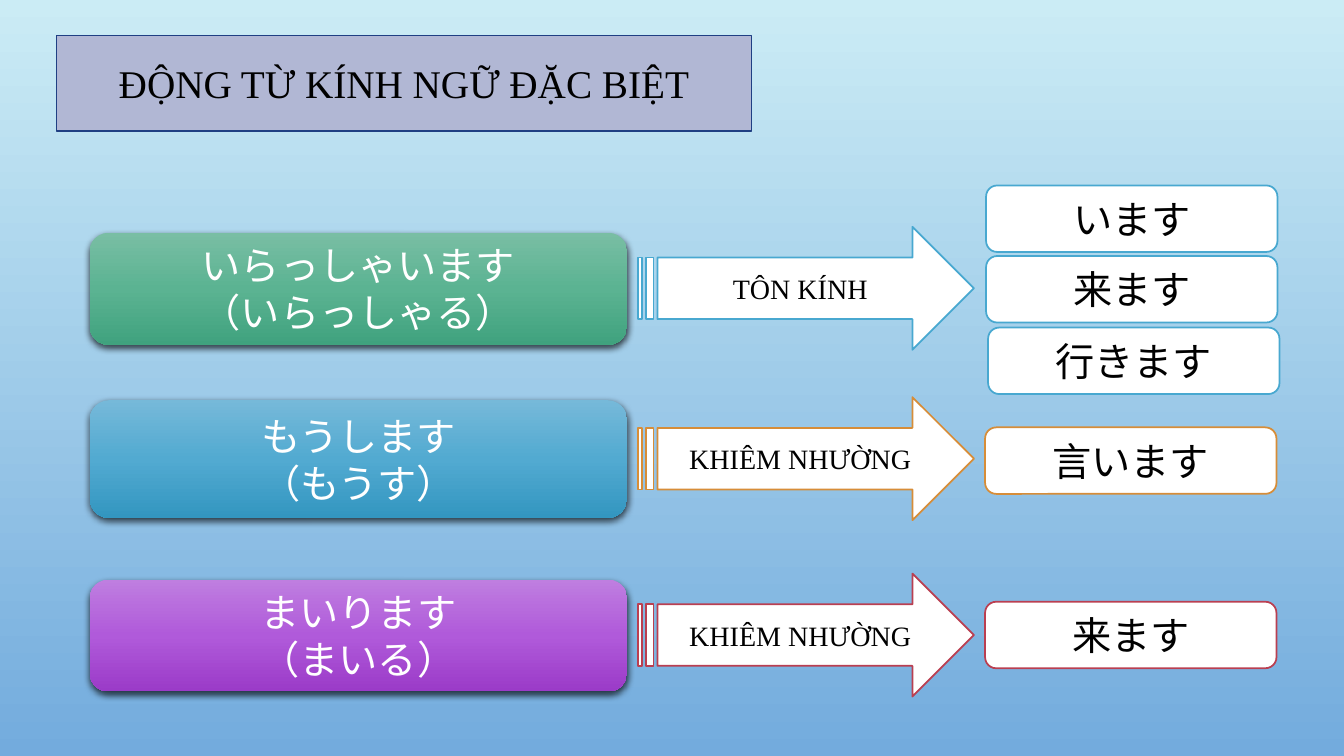
from dataclasses import dataclass

from lxml import etree
from pptx import Presentation
from pptx.dml.color import RGBColor as RGB
from pptx.enum.shapes import MSO_SHAPE as SHAPE
from pptx.enum.text import MSO_ANCHOR as ANCHOR, PP_ALIGN as ALIGN
from pptx.oxml import parse_xml
from pptx.oxml.ns import nsdecls, qn
from pptx.util import Inches, Pt


@dataclass(frozen=True)
class Theme:
    latin: str = "Times New Roman"
    japanese: str = "Noto Sans CJK JP"
    large: int = 28
    label: int = 20
    dark: str = "000000"
    light: str = "FFFFFF"
    title_fill: str = "B1B7D4"
    title_line: str = "1F3F83"
    sky: tuple = ((0, "CBECF5"), (100, "73ABDD"))
    green: tuple = ((0, "79BEA4"), (50, "5BB392"), (100, "40A27E"))
    blue: tuple = ((0, "76B9D9"), (50, "52AAD1"), (100, "3396C0"))
    purple: tuple = ((0, "BF7EE0"), (50, "B05ADA"), (100, "9B3BC8"))
    blue_line: str = "48A8D0"
    orange_line: str = "D78D38"
    red_line: str = "BA3F51"


class VerbSlide:
    def __init__(self, prs, theme):
        self.theme = theme
        self.s = prs.slides.add_slide(prs.slide_layouts[5])
        self.gradient(self.s.background.fill, self.s._element, theme.sky)

    def gradient(self, fill, owner, stops):
        """Fill from top to bottom through any number of stops."""
        fill.gradient()
        fill.gradient_angle = 270
        gs_list = owner.find(".//" + qn("a:gsLst"))
        for gs in list(gs_list):
            gs_list.remove(gs)
        for percent, color in stops:
            gs = etree.SubElement(gs_list, qn("a:gs"), pos=str(percent * 1000))
            etree.SubElement(gs, qn("a:srgbClr"), val=color)

    def outline(self, sp, fill, line, width):
        sp.fill.solid()
        sp.fill.fore_color.rgb = RGB.from_string(fill)
        sp.line.color.rgb = RGB.from_string(line)
        sp.line.width = Pt(width)

    def text(self, sp, lines, font, size, color):
        tf = sp.text_frame
        tf.word_wrap = True
        tf.vertical_anchor = ANCHOR.MIDDLE
        tf.text = "\n".join(lines)
        for p in tf.paragraphs:
            p.alignment = ALIGN.CENTER
            p.font.size = Pt(size)
            p.font.color.rgb = RGB.from_string(color)
            p.font.name = font
            etree.SubElement(p.font._element, qn("a:ea"), typeface=font)

    def shape(self, kind, left, top, width, height):
        sp = self.s.shapes.add_shape(
            kind, Inches(left), Inches(top), Inches(width), Inches(height))
        sp.shadow.inherit = False
        return sp

    def title(self, text):
        t = self.theme
        sp = self.s.shapes.title
        sp.left, sp.top = Inches(0.56), Inches(0.35)
        sp.width, sp.height = Inches(6.89), Inches(0.95)
        sp._element.spPr.insert(1, parse_xml(
            f'<a:prstGeom {nsdecls("a")} prst="roundRect"><a:avLst/></a:prstGeom>'))
        self.outline(sp, t.title_fill, t.title_line, 0.75)
        self.text(sp, [text], t.latin, t.large, t.dark)

    def verb(self, lines, top, height, stops):
        t = self.theme
        sp = self.shape(SHAPE.ROUNDED_RECTANGLE, 0.89, top, 5.33, height)
        self.gradient(sp.fill, sp._element, stops)
        sp.line.fill.background()
        sp._element.spPr.find(qn("a:effectLst")).append(parse_xml(
            f'<a:outerShdw {nsdecls("a")} blurRad="{Pt(5)}" dist="{Pt(2)}" '
            'dir="5400000" rotWithShape="0"><a:srgbClr val="000000">'
            '<a:alpha val="69000"/></a:srgbClr></a:outerShdw>'))
        self.text(sp, lines, t.japanese, t.large, t.light)

    def arrow(self, text, top, line):
        t = self.theme
        sp = self.shape(SHAPE.STRIPED_RIGHT_ARROW, 6.33, top, 3.33, 1.22)
        self.outline(sp, t.light, line, 1.25)
        self.text(sp, [text], t.latin, t.label, t.dark)

    def meaning(self, text, left, top, line):
        t = self.theme
        sp = self.shape(SHAPE.ROUNDED_RECTANGLE, left, top, 2.89, 0.66)
        self.outline(sp, t.light, line, 1.25)
        self.text(sp, [text], t.japanese, t.large, t.dark)


def main():
    prs = Presentation()
    prs.slide_width, prs.slide_height = Inches(13.33), Inches(7.5)
    theme = Theme()
    slide = VerbSlide(prs, theme)
    slide.title("ĐỘNG TỪ KÍNH NGỮ ĐẶC BIỆT")

    # Each row: verb forms, top, height, fill; arrow label, top; line; meanings
    rows = [
        (["いらっしゃいます", "（いらっしゃる）"], 2.31, 1.11, theme.green,
         "TÔN KÍNH", 2.25, theme.blue_line,
         [("います", 9.78, 1.84), ("来ます", 9.78, 2.54), ("行きます", 9.8, 3.25)]),
        (["もうします", "（もうす）"], 3.97, 1.17, theme.blue,
         "KHIÊM NHƯỜNG", 3.94, theme.orange_line, [("言います", 9.77, 4.24)]),
        (["まいります", "（まいる）"], 5.75, 1.11, theme.purple,
         "KHIÊM NHƯỜNG", 5.69, theme.red_line, [("来ます", 9.77, 5.97)]),
    ]
    for forms, top, height, stops, label, arrow_top, line, meanings in rows:
        slide.verb(forms, top, height, stops)
        slide.arrow(label, arrow_top, line)
        for text, left, meaning_top in meanings:
            slide.meaning(text, left, meaning_top, line)

    prs.save("out.pptx")


if __name__ == "__main__":
    main()
